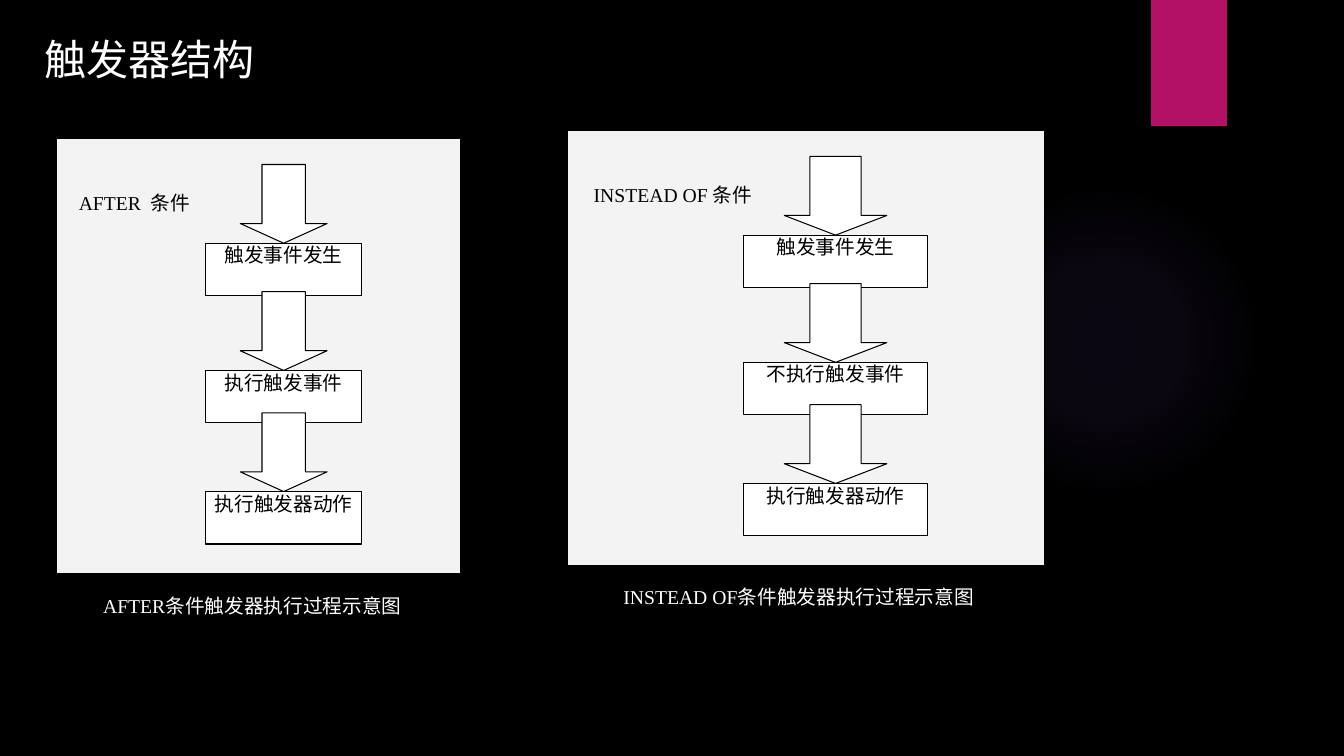
from pptx import Presentation
from pptx.dml.color import RGBColor
from pptx.enum.shapes import MSO_SHAPE
from pptx.enum.text import MSO_ANCHOR, PP_ALIGN
from pptx.oxml import parse_xml
from pptx.oxml.ns import nsdecls
from pptx.util import Inches, Pt

RECT, OVAL, DOWN_ARROW = MSO_SHAPE.RECTANGLE, MSO_SHAPE.OVAL, MSO_SHAPE.DOWN_ARROW
LEFT, CENTER, JUSTIFY = PP_ALIGN.LEFT, PP_ALIGN.CENTER, PP_ALIGN.JUSTIFY
TOP, MIDDLE = MSO_ANCHOR.TOP, MSO_ANCHOR.MIDDLE

BLACK = RGBColor(0x00, 0x00, 0x00)
WHITE = RGBColor(0xFF, 0xFF, 0xFF)
PANEL = RGBColor(0xF3, 0xF3, 0xF3)
MAGENTA = RGBColor(0xB3, 0x11, 0x66)
GLOW = RGBColor(0x9B, 0x6B, 0xF2)


def add_shape(shapes, kind, x, y, w, h, fill, line=None):
    sp = shapes.add_shape(kind, Inches(x), Inches(y), Inches(w), Inches(h))
    sp.shadow.inherit = False
    sp.fill.solid()
    sp.fill.fore_color.rgb = fill
    if line is None:
        sp.line.fill.background()
    else:
        sp.line.color.rgb = line
        sp.line.width = Pt(0.75)
    return sp


def set_text(sp, text, align, color, size=14, font="Times New Roman", anchor=TOP, inset=0):
    tf = sp.text_frame
    tf.word_wrap = True
    tf.vertical_anchor = anchor
    tf.margin_left = tf.margin_right = Inches(inset)
    tf.margin_top = tf.margin_bottom = Inches(inset / 2)
    p = tf.paragraphs[0]
    p.text = text
    p.alignment = align
    p.font.size = Pt(size)
    p.font.name = font
    p.font.color.rgb = color


prs = Presentation()
prs.slide_width, prs.slide_height = Inches(13.31), Inches(7.49)
s = prs.slides.add_slide(prs.slide_layouts[5])
s.background.fill.solid()
s.background.fill.fore_color.rgb = BLACK

# Soft radial glow, fading to transparent
glow = add_shape(s.shapes, OVAL, 9.4, 1.83, 3.08, 3.08, GLOW)
stops = "".join(
    f'<a:gs pos="{pos * 1000}"><a:srgbClr val="{GLOW}"><a:alpha val="{alpha * 1000}"/></a:srgbClr></a:gs>'
    for pos, alpha in ((0, 7), (36, 6), (69, 0), (100, 0)))
gradient = parse_xml(
    f'<a:gradFill {nsdecls("a")}><a:gsLst>{stops}</a:gsLst><a:path path="circle">'
    '<a:fillToRect l="50000" t="50000" r="50000" b="50000"/></a:path></a:gradFill>')
spPr = glow.element.spPr
spPr.replace(spPr.find("{*}solidFill"), gradient)

# Ribbon
add_shape(s.shapes, RECT, 11.4, 0, 0.75, 1.25, MAGENTA)

# Title
title = s.shapes.title
title.left, title.top, title.width, title.height = Inches(0.34), Inches(0.28), Inches(2.31), Inches(0.61)
set_text(title, "触发器结构", LEFT, WHITE, 30, "DejaVu Sans", MIDDLE, 0.1)
title.text_frame.word_wrap = False

# Flow diagrams: left, top, horizontal scale, condition, caption, steps
diagrams = [
    (0.56, 1.37, 1, "AFTER  条件", "AFTER条件触发器执行过程示意图",
     ["触发事件发生", "执行触发事件", "执行触发器动作"]),
    (5.62, 1.29, 1.18, "INSTEAD OF 条件", "INSTEAD OF条件触发器执行过程示意图",
     ["触发事件发生", "不执行触发事件", "执行触发器动作"]),
]
STEP_TOPS = (1.04, 2.3, 3.5)
ARROW_H = 0.78

for x, y, k, condition, caption, steps in diagrams:
    shapes = s.shapes.add_group_shape().shapes
    add_shape(shapes, RECT, x, y, 4 * k, 4.31, PANEL, BLACK)

    # Condition label and caption
    for text, dx, dy, w, align, color in (
            (condition, 0.22, 0.52, 1.41, JUSTIFY, BLACK),
            (caption, 0, 4.51, 3.88, CENTER, WHITE)):
        tb = shapes.add_textbox(Inches(x + dx * k), Inches(y + dy), Inches(w * k), Inches(0.4))
        set_text(tb, text, align, color)

    # Each step is an arrow leading into a box
    for step, dy in zip(steps, STEP_TOPS):
        arrow = add_shape(shapes, DOWN_ARROW, x + 1.82 * k, y + dy - ARROW_H,
                          0.86 * k, ARROW_H, WHITE, BLACK)
        arrow.adjustments[1] = 0.25
        box = add_shape(shapes, RECT, x + 1.48 * k, y + dy, 1.54 * k, 0.52, WHITE, BLACK)
        set_text(box, step, CENTER, BLACK)

prs.save("out.pptx")
